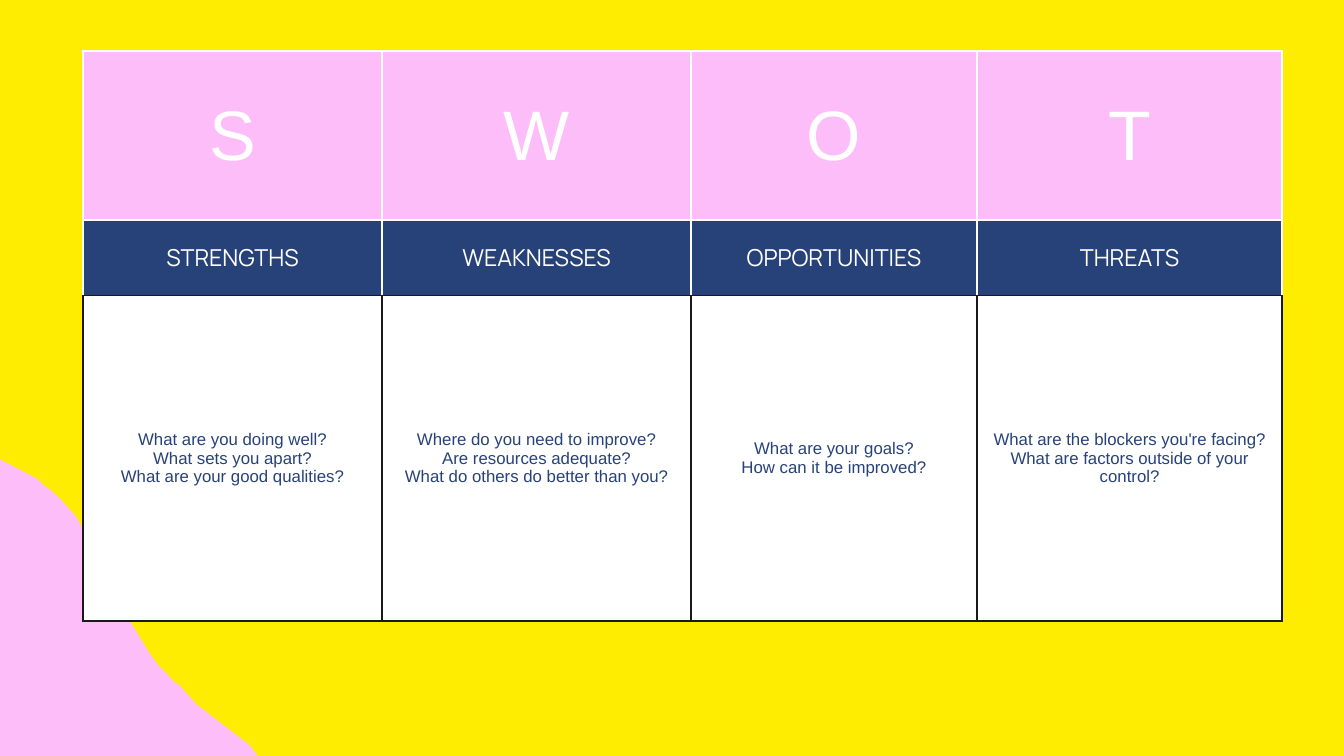
from lxml import etree
from pptx import Presentation
from pptx.dml.color import RGBColor
from pptx.enum.text import MSO_ANCHOR, PP_ALIGN
from pptx.oxml.ns import qn
from pptx.util import Pt

CENTER = PP_ALIGN.CENTER
MIDDLE = MSO_ANCHOR.MIDDLE

YELLOW = RGBColor(0xFF, 0xED, 0x00)
PINK = RGBColor(0xFC, 0xBD, 0xF8)
NAVY = RGBColor(0x27, 0x42, 0x79)
WHITE = RGBColor(0xFF, 0xFF, 0xFF)
BLACK = RGBColor(0x19, 0x19, 0x19)

BORDER_WIDTH = Pt(2.25)
COLUMN_WIDTHS = (320.9, 330.7, 306.6, 327)
ROW_HEIGHTS = (181.4, 80.6, 348.5)

BLOB_POINTS = [
    (-133, 482), (-50, 477), (-8, 488), (40, 513), (48, 521), (53, 524),
    (66, 536), (82, 554), (108, 603), (114, 611), (139, 665), (159, 698),
    (168, 711), (178, 721), (187, 731), (191, 733), (211, 755), (237, 775),
    (267, 798), (303, 844), (319, 882), (330, 934), (323, 984), (310, 1002),
    (285, 1059), (233, 1120), (182, 1155), (115, 1180), (17, 1192),
    (-63, 1184), (-125, 1167), (-192, 1130), (-235, 1094), (-266, 1056),
    (-300, 989), (-330, 895), (-348, 823), (-358, 747), (-354, 719),
    (-354, 660), (-343, 629), (-294, 568), (-235, 524), (-171, 492),
]

LETTERS = ["S", "W", "O", "T"]
HEADINGS = ["STRENGTHS", "WEAKNESSES", "OPPORTUNITIES", "THREATS"]
QUESTIONS = [
    "What are you doing well?\nWhat sets you apart?\nWhat are your good qualities?",
    "Where do you need to improve?\nAre resources adequate?\n"
    "What do others do better than you?",
    "What are your goals?\nHow can it be improved?",
    "What are the blockers you're facing?\nWhat are factors outside of your control?",
]


def add_blob(slide):
    builder = slide.shapes.build_freeform(*BLOB_POINTS[0], scale=Pt(1))
    builder.add_line_segments(BLOB_POINTS[1:], close=True)
    sp = builder.convert_to_shape()
    sp.shadow.inherit = False
    sp.fill.solid()
    sp.fill.fore_color.rgb = PINK
    sp.line.fill.background()


def set_borders(cell, side_color, bottom_color):
    tc_pr = cell._tc.get_or_add_tcPr()
    sides = {"L": side_color, "R": side_color, "T": side_color, "B": bottom_color}
    for side, color in sides.items():
        ln = etree.SubElement(tc_pr, qn(f"a:ln{side}"), w=str(BORDER_WIDTH))
        fill = etree.SubElement(ln, qn("a:solidFill"))
        etree.SubElement(fill, qn("a:srgbClr"), val=str(color))


def fill_row(row, texts, size, font, color, fill, border, bottom):
    for cell, text in zip(row.cells, texts):
        set_borders(cell, border, bottom)
        cell.fill.solid()
        cell.fill.fore_color.rgb = fill
        cell.vertical_anchor = MIDDLE
        cell.text_frame.text = text
        for p in cell.text_frame.paragraphs:
            p.alignment = CENTER
            for r in p.runs:
                r.font.size = Pt(size)
                r.font.name = font
                r.font.bold = False
                r.font.color.rgb = color


def add_swot_table(slide):
    table = slide.shapes.add_table(
        len(ROW_HEIGHTS), len(COLUMN_WIDTHS), Pt(88.6), Pt(54.7),
        Pt(sum(COLUMN_WIDTHS)), Pt(sum(ROW_HEIGHTS))).table
    table.first_row = False
    table.horz_banding = False
    for column, width in zip(table.columns, COLUMN_WIDTHS):
        column.width = Pt(width)
    for row, height in zip(table.rows, ROW_HEIGHTS):
        row.height = Pt(height)
    letters, headings, questions = table.rows
    fill_row(letters, LETTERS, 75, "Arial", WHITE, PINK, WHITE, WHITE)
    fill_row(headings, HEADINGS, 25, "Manrope", WHITE, NAVY, WHITE, BLACK)
    fill_row(questions, QUESTIONS, 18, "Arial", NAVY, WHITE, BLACK, BLACK)


def main():
    prs = Presentation()
    prs.slide_width = Pt(1440)
    prs.slide_height = Pt(810)
    slide = prs.slides.add_slide(prs.slide_layouts[6])
    slide.background.fill.solid()
    slide.background.fill.fore_color.rgb = YELLOW
    add_blob(slide)
    add_swot_table(slide)
    prs.save("out.pptx")


if __name__ == "__main__":
    main()
